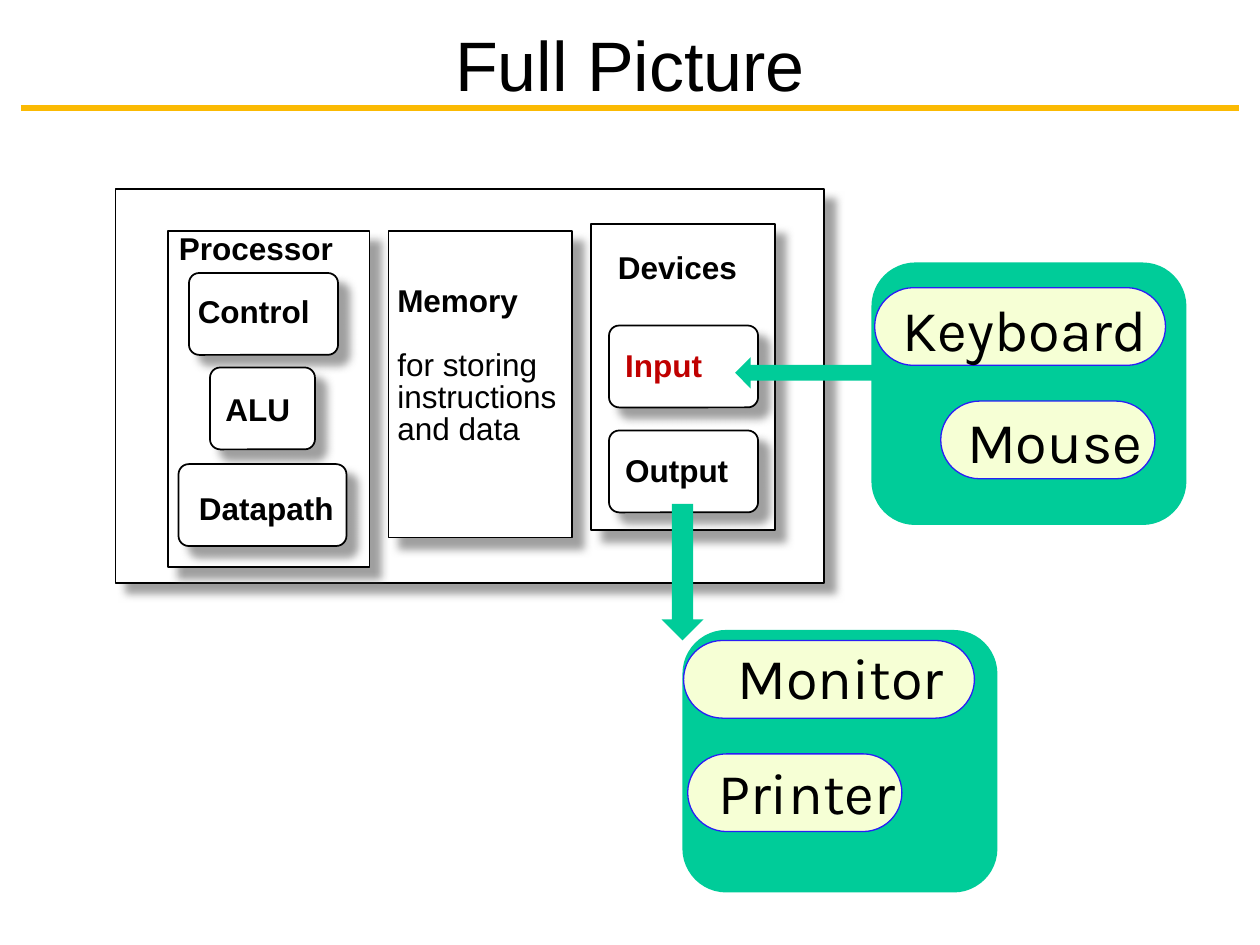
import lxml.etree
import pptx
import pptx.dml.color
import pptx.enum.shapes
import pptx.enum.text
import pptx.oxml.ns
import pptx.util

THEME = {
    "ink": "000000", "paper": "FFFFFF", "rule": "FBBA03", "accent": "C00000",
    "shadow": "808080", "peripheral": "00CC99", "pill": "F6FFD5", "pill_edge": "291EF5",
    "font": "Arial", "pill_font": "Karla",
    "title_size": 40, "label_size": 18, "pill_size": 33,
}
KIND = pptx.enum.shapes.MSO_SHAPE
ANCHOR = pptx.enum.text.MSO_ANCHOR
ALIGN = pptx.enum.text.PP_ALIGN
qn = pptx.oxml.ns.qn

deck = pptx.Presentation()
deck.slide_width = pptx.util.Inches(10)
deck.slide_height = pptx.util.Inches(7.5)
slide = deck.slides.add_slide(deck.slide_layouts[6])
column = deck.slide_width / 120
row = deck.slide_height / 90


def add_block(kind, left, top, width, height, fill, edge=None, edge_width=1, corner=None, raised=False):
    block = slide.shapes.add_shape(
        kind, round(left * column), round(top * row), round(width * column), round(height * row))
    block.shadow.inherit = False
    block.fill.solid()
    block.fill.fore_color.rgb = pptx.dml.color.RGBColor.from_string(THEME[fill])
    if edge:
        block.line.color.rgb = pptx.dml.color.RGBColor.from_string(THEME[edge])
        block.line.width = pptx.util.Pt(edge_width)
    else:
        block.line.fill.background()
    if corner is not None:
        block.adjustments[0] = corner
    if raised:
        effects = block._element.spPr.find(qn("a:effectLst"))
        cast = lxml.etree.SubElement(
            effects, qn("a:outerShdw"), blurRad=str(pptx.util.Pt(5)), dist=str(pptx.util.Pt(8.5)),
            dir="2700000", algn="tl", rotWithShape="0")
        tint = lxml.etree.SubElement(cast, qn("a:srgbClr"), val=THEME["shadow"])
        lxml.etree.SubElement(tint, qn("a:alpha"), val="75000")
    return block


def add_label(text, left, top, width, height, size="label_size", font="font", color="ink",
              bold=True, spacing=0.85, inset=(0.07, 0.03), wrap=False):
    label = slide.shapes.add_textbox(
        round(left * column), round(top * row), round(width * column), round(height * row))
    frame = label.text_frame
    frame.word_wrap = wrap
    frame.auto_size = pptx.enum.text.MSO_AUTO_SIZE.SHAPE_TO_FIT_TEXT
    frame.margin_left = frame.margin_right = pptx.util.Inches(inset[0])
    frame.margin_top = frame.margin_bottom = pptx.util.Inches(inset[1])
    frame.text = text
    for paragraph in frame.paragraphs:
        paragraph.line_spacing = spacing
        for run in paragraph.runs:
            run.font.size = pptx.util.Pt(THEME[size])
            run.font.name = THEME[font]
            run.font.bold = bold
            run.font.color.rgb = pptx.dml.color.RGBColor.from_string(THEME[color])
    return frame


title_rule = slide.shapes.add_connector(
    pptx.enum.shapes.MSO_CONNECTOR.STRAIGHT,
    round(2 * column), round(10.3 * row), round(118 * column), round(10.3 * row))
title_rule.line.color.rgb = pptx.dml.color.RGBColor.from_string(THEME["rule"])
title_rule.line.width = pptx.util.Pt(3.75)
lxml.etree.SubElement(title_rule._element.spPr, qn("a:effectLst"))

for left, top in [(65, 60), (83, 25)]:
    add_block(KIND.ROUNDED_RECTANGLE, left, top, 30, 25, "peripheral", corner=0.167)

title = add_label("Full Picture", 2, 1.7, 116, 8.8, "title_size", bold=False, spacing=1, wrap=True)
title.vertical_anchor = ANCHOR.TOP
title.paragraphs[0].alignment = ALIGN.CENTER

for left, top, width, height in [
    (11, 18, 67.5, 37.5),
    (16, 22, 19.2, 32),
    (37, 22, 17.5, 29.2),
    (56.3, 21.3, 17.5, 29.2),
]:
    add_block(KIND.RECTANGLE, left, top, width, height, "paper", "ink", raised=True)

for left, top, width in [(18, 26, 14.2), (20, 35, 10), (17, 44.2, 16), (58, 31, 14.2), (58, 41, 14.2)]:
    unit = add_block(KIND.ROUNDED_RECTANGLE, left, top, width, 7.8, "paper", "ink", corner=0.125, raised=True)
    if top == 35:
        alu = unit.text_frame
alu.text = "ALU"
alu.word_wrap = False
alu.vertical_anchor = ANCHOR.MIDDLE
alu.paragraphs[0].alignment = ALIGN.LEFT
alu_font = alu.paragraphs[0].runs[0].font
alu_font.size = pptx.util.Pt(THEME["label_size"])
alu_font.name = THEME["font"]
alu_font.bold = True
alu_font.color.rgb = pptx.dml.color.RGBColor.from_string(THEME["ink"])

for name, left, top, width, color in [
    ("Processor", 16.2, 22, 17.4, "ink"),
    ("Control", 18, 28, 13.4, "ink"),
    ("Datapath", 18.1, 46.8, 15.5, "ink"),
    ("Devices", 58, 23.8, 14, "ink"),
    ("Input", 58.7, 33.1, 10, "accent"),
    ("Output", 58.7, 43.1, 12.5, "ink"),
]:
    add_label(name, left, top, width, 3.7, color=color)

memory = add_label("Memory\nfor storing\ninstructions and data", 37, 27, 19, 16.1, wrap=True)
memory.paragraphs[1].space_before = pptx.util.Pt(18)
for paragraph in memory.paragraphs[1:]:
    paragraph.runs[0].font.bold = False

for name, left, top, width, text_left, text_top, text_width in [
    ("Monitor", 65.1, 61, 27.7, 70.2, 61.1, 20.8),
    ("Printer", 65.5, 71.8, 20.4, 68.4, 72.1, 18.6),
    ("Keyboard", 83.3, 27.4, 27.7, 86, 28, 25.9),
    ("Mouse", 89.6, 38.2, 20.4, 92.1, 38.6, 19),
]:
    add_block(KIND.ROUNDED_RECTANGLE, left, top, width, 7.4, "pill", "pill_edge", 0, 0.5)
    add_label(name, text_left, text_top, text_width, 7.3, "pill_size", "pill_font",
              bold=False, spacing=1, inset=(0, 0))

add_block(KIND.LEFT_ARROW, 70, 34, 15, 3, "peripheral")
add_block(KIND.DOWN_ARROW, 63, 48, 4, 13, "peripheral")

deck.save("out.pptx")
